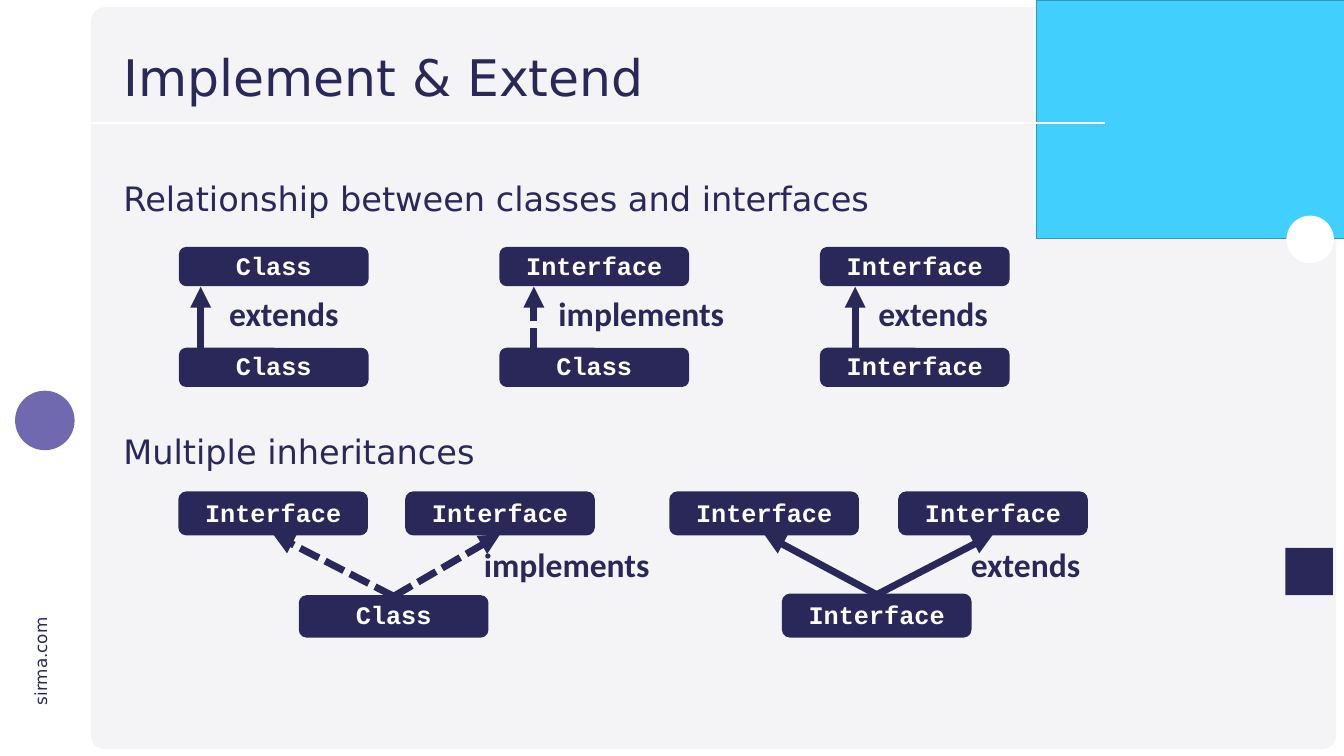
from pptx import Presentation
from pptx.dml.color import RGBColor
from pptx.enum.dml import MSO_LINE
from pptx.enum.shapes import MSO_CONNECTOR, MSO_SHAPE
from pptx.enum.text import MSO_ANCHOR, MSO_AUTO_SIZE, PP_ALIGN
from pptx.oxml.ns import qn
from pptx.util import Cm, Pt
from lxml.etree import SubElement

COLORS = {
    "navy": "2A2859", "white": "FFFFFF", "panel": "F4F4F7",
    "cyan": "41CFFD", "cyan_edge": "3099BB", "violet": "7169B0",
}

# Content; all lengths are in centimetres
TITLE = "Implement & Extend"
HEADINGS = ["Relationship between classes and interfaces", "Multiple inheritances"]
SITE = "sirma.com"

# (parent, child, relation, arrow offset from box, label offset from box)
PAIRS = [
    ("Class", "Class", "extends", 1.04, 2.23),
    ("Interface", "Class", "implements", 1.68, 2.67),
    ("Interface", "Interface", "extends", 1.72, 2.64),
]
# (child, child x, child y, parent x positions, relation, label x)
TREES = [
    ("Class", 15.11, 30.05, (9.04, 20.47), "implements", 24.13),
    ("Interface", 39.45, 29.97, (33.78, 45.31), "extends", 48.67),
]
LABEL_WIDTH = {"extends": 6.07, "implements": 8.94}

BOX_WIDTH = 9.45
PAIR_LEFT, PAIR_STEP, PAIR_HEIGHT = 9.07, 16.15, 1.87
PAIR_PARENT_TOP, PAIR_CHILD_TOP, PAIR_LABEL_TOP = 12.5, 17.58, 14.63
TREE_PARENT_TOP, TREE_HEIGHT, TREE_LABEL_TOP = 24.82, 2.11, 27.3
TREE_BOTTOM = 32.08

# Frame shapes: (preset, left, top, width, height, fill, edge)
PANEL = (MSO_SHAPE.ROUNDED_RECTANGLE, 4.57, 0.36, 62.76, 37.41, "panel", None)
TITLE_FRAME = [
    (MSO_SHAPE.RECTANGLE, 52.22, 0, 15.52, 12.01, "cyan", "cyan_edge"),
    (MSO_SHAPE.RECTANGLE, 4.65, 1.35, 46.58, 6.05, "panel", None),
]
ACCENTS = [
    (MSO_SHAPE.RECTANGLE, 64.77, 27.61, 2.39, 2.39, "navy", None),
    (MSO_SHAPE.OVAL, 0.76, 19.69, 3, 3, "violet", None),
    (MSO_SHAPE.OVAL, 64.82, 10.87, 2.39, 2.39, "white", None),
]

presentation = Presentation()
presentation.slide_width, presentation.slide_height = Cm(67.72), Cm(38.1)
slide = presentation.slides.add_slide(presentation.slide_layouts[5])
shapes = slide.shapes


def color(name):
    return RGBColor.from_string(COLORS[name])


def add_block(preset, left, top, width, height, fill, edge=None, edge_width=1):
    shape = shapes.add_shape(preset, Cm(left), Cm(top), Cm(width), Cm(height))
    shape.shadow.inherit = False
    shape.fill.solid()
    shape.fill.fore_color.rgb = color(fill)
    if edge:
        shape.line.color.rgb = color(edge)
        shape.line.width = Pt(edge_width)
    else:
        shape.line.fill.background()
    return shape


def style(paragraph, size, font, fill="navy", bold=False, spacing=None):
    paragraph.font.size = Pt(size)
    paragraph.font.name = font
    paragraph.font.bold = bold
    paragraph.font.color.rgb = color(fill)
    if spacing:
        paragraph.line_spacing = spacing


def add_box(text, left, top, height):
    shape = add_block(MSO_SHAPE.ROUNDED_RECTANGLE, left, top, BOX_WIDTH, height,
                      "navy", "navy", 3)
    frame = shape.text_frame
    frame.text = text
    frame.word_wrap = False
    frame.vertical_anchor = MSO_ANCHOR.MIDDLE
    frame.paragraphs[0].alignment = PP_ALIGN.CENTER
    style(frame.paragraphs[0], 36, "Courier New", "white", True, 0.95)


def add_text(text, left, top, width, height, size, font, bold=False):
    box = shapes.add_textbox(Cm(left), Cm(top), Cm(width), Cm(height))
    frame = box.text_frame
    frame.text = text
    frame.word_wrap = False
    frame.auto_size = MSO_AUTO_SIZE.SHAPE_TO_FIT_TEXT
    style(frame.paragraphs[0], size, font, bold=bold)
    return box


def add_label(text, left, top):
    add_text(text, left, top, LABEL_WIDTH[text], 2.31, 48, "Calibri", True)


def add_line(x1, y1, x2, y2, fill, width):
    line = shapes.add_connector(MSO_CONNECTOR.STRAIGHT, Cm(x1), Cm(y1), Cm(x2), Cm(y2))
    line.line.color.rgb = color(fill)
    line.line.width = Pt(width)
    SubElement(line._element.spPr, qn("a:effectLst"))
    return line


def add_arrow(x1, y1, x2, y2, relation):
    arrow = add_line(x1, y1, x2, y2, "navy", 10)
    if relation == "implements":
        arrow.line.dash_style = MSO_LINE.SQUARE_DOT
    outline = arrow._element.spPr.find(qn("a:ln"))
    SubElement(outline, qn("a:tailEnd"), type="triangle")


# Frame and decoration
add_block(*PANEL).adjustments[0] = 0.02
add_text(SITE, -0.46, 32.66, 5, 1.27, 24, "DejaVu Sans").rotation = 270
for block in TITLE_FRAME:
    add_block(*block)
add_line(4.65, 6.18, 55.7, 6.18, "white", 3)
for block in ACCENTS:
    add_block(*block)

# Headings
headings = shapes.add_textbox(Cm(5.97), Cm(9.07), Cm(58.39), Cm(26.21)).text_frame
headings.word_wrap = True
headings.text = "\n".join(HEADINGS)
for paragraph in headings.paragraphs:
    style(paragraph, 48, "DejaVu Sans", spacing=0.9)
headings.paragraphs[1].space_before = Pt(309)

# Title, moved in front of the frame
title = shapes.title
shapes._spTree.append(title._element)
title.left, title.top, title.width, title.height = Cm(5.97), Cm(2.03), Cm(49.71), Cm(4.01)
title.text_frame.text = TITLE
title.text_frame.vertical_anchor = MSO_ANCHOR.MIDDLE
title.text_frame.paragraphs[0].alignment = PP_ALIGN.LEFT
style(title.text_frame.paragraphs[0], 72, "DejaVu Sans", spacing=0.9)

# One parent, one child
for index, (parent, child, relation, arrow_offset, label_offset) in enumerate(PAIRS):
    left = PAIR_LEFT + index * PAIR_STEP
    add_box(parent, left, PAIR_PARENT_TOP, PAIR_HEIGHT)
    add_box(child, left, PAIR_CHILD_TOP, PAIR_HEIGHT)
    add_arrow(left + arrow_offset, PAIR_CHILD_TOP,
              left + arrow_offset, PAIR_PARENT_TOP + PAIR_HEIGHT + 0.08, relation)
    add_label(relation, left + label_offset, PAIR_LABEL_TOP)

# Two parents, one child
for child, child_left, child_top, parent_lefts, relation, label_left in TREES:
    add_box(child, child_left, child_top, TREE_BOTTOM - child_top)
    for parent_left in parent_lefts:
        add_box("Interface", parent_left, TREE_PARENT_TOP, TREE_HEIGHT)
        add_arrow(child_left + BOX_WIDTH / 2, child_top,
                  parent_left + BOX_WIDTH / 2, TREE_PARENT_TOP + TREE_HEIGHT, relation)
    add_label(relation, label_left, TREE_LABEL_TOP)

presentation.save("out.pptx")
